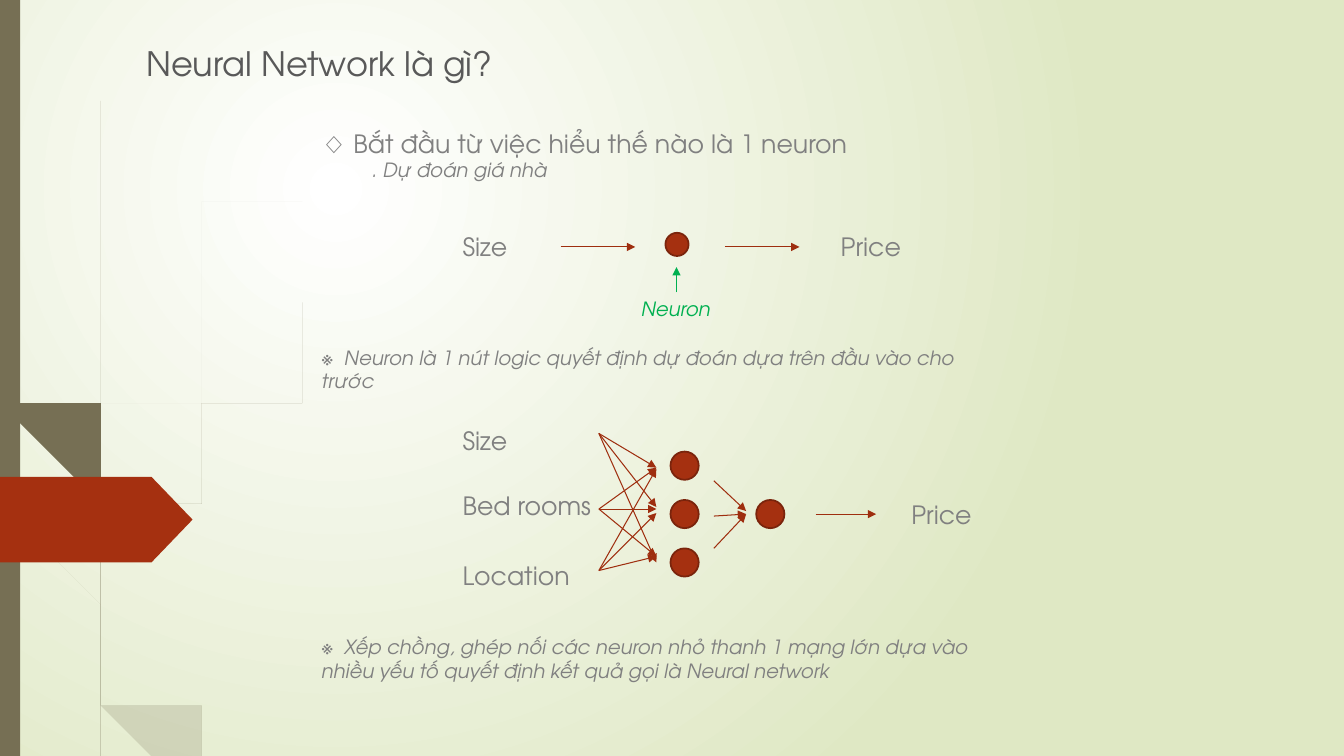
from math import hypot

from lxml.etree import SubElement
from pptx import Presentation
from pptx.dml.color import RGBColor
from pptx.enum.shapes import MSO_CONNECTOR, MSO_SHAPE
from pptx.enum.text import MSO_ANCHOR, PP_ALIGN
from pptx.oxml.ns import qn
from pptx.util import Inches, Pt

FONT = "TeX Gyre Adventor"
GREY, GREEN, RUST, OLIVE = "808080", "00B050", "A53010", "766F54"
RUST_EDGE, RUST_ARROW = "7A240C", "9E2E0F"

# Grass blades: points along the spine, then width at start and end
PALE_BLADES = [
    ([(0, 2.9), (0.1, 3.46), (0.16, 3.76), (0.6, 5.21), (0.85, 5.93),
      (1.25, 6.93), (1.53, 7.5)], 0.03, 0.05),
    ([(0.11, 3.5), (0.29, 4.7), (0.67, 6.2), (0.92, 6.88), (1.21, 7.5)], 0.01, 0.05),
    ([(3.12, 1.53), (2.68, 1.98), (2.28, 2.45), (1.59, 3.48), (1.08, 4.62),
      (0.86, 5.84), (0.89, 6.46), (1.03, 7.1), (1.17, 7.5)], 0, 0.05),
]
DARK_BLADES = [
    ([(0.04, 0), (0.05, 0.48), (0.08, 1.1), (0.18, 2.33), (0.34, 3.55),
      (0.58, 4.74), (0.9, 5.91), (1.08, 6.4), (1.34, 7.07), (1.55, 7.5)], 0.01, 0.05),
    ([(0.57, 4.77), (0.7, 5.56), (0.96, 6.58), (1.11, 7), (1.29, 7.5)], 0.01, 0.04),
    ([(0.7, 1.41), (0.62, 1.93), (0.57, 2.45), (0.53, 3.49), (0.56, 4.5),
      (0.61, 4.75)], 0, 0.03),
    ([(2.6, 3.44), (2.31, 3.74), (2.04, 4.06), (1.57, 4.75), (1.24, 5.52),
      (1.08, 6.32), (1.13, 6.9), (1.34, 7.5)], 0, 0.04),
]


def rgb(hex_code):
    return RGBColor.from_string(hex_code)


def paint(shape, fill, edge=None):
    shape.shadow.inherit = False
    shape.fill.solid()
    shape.fill.fore_color.rgb = rgb(fill)
    if edge:
        shape.line.color.rgb = rgb(edge)
        shape.line.width = Pt(1.25)
    else:
        shape.line.fill.background()


def write(paragraph, words, size, color, italic=False):
    run = paragraph.add_run()
    run.text = words
    run.font.name, run.font.size, run.font.italic = FONT, Pt(size), italic
    run.font.color.rgb = rgb(color)


def add_text(slide, box, words, size=18, color=GREY, italic=False):
    frame = slide.shapes.add_textbox(*map(Inches, box)).text_frame
    frame.word_wrap = True
    write(frame.paragraphs[0], words, size, color, italic)
    return frame


def add_arrow(slide, start, end, color=RUST_ARROW):
    arrow = slide.shapes.add_connector(
        MSO_CONNECTOR.STRAIGHT, *map(Inches, (*start, *end)))
    arrow.line.color.rgb = rgb(color)
    arrow.line.width = Pt(0.75)
    SubElement(arrow.line._get_or_add_ln(), qn("a:tailEnd"), type="triangle")
    SubElement(arrow._element.spPr, qn("a:effectLst"))


def add_neuron(slide, left, top, size):
    neuron = slide.shapes.add_shape(
        MSO_SHAPE.OVAL, *map(Inches, (left, top, size, size)))
    paint(neuron, RUST, RUST_EDGE)


def smooth(points, steps=8):
    """Catmull-Rom curve through the points."""
    ends = [points[0], *points, points[-1]]
    curve = []
    for p0, p1, p2, p3 in zip(ends, ends[1:], ends[2:], ends[3:]):
        for step in range(steps):
            t = step / steps
            curve.append(tuple(
                b + t * (c - a) / 2 + t**2 * (2*a - 5*b + 4*c - d) / 2
                + t**3 * (3*b - a - 3*c + d) / 2
                for a, b, c, d in zip(p0, p1, p2, p3)))
    return curve + [points[-1]]


def add_blade(slide, left, top, spine, start_width, end_width, alpha):
    curve = smooth(spine)
    last = len(curve) - 1
    right_edge, left_edge = [], []
    for i, (x, y) in enumerate(curve):
        (x0, y0), (x1, y1) = curve[max(i - 1, 0)], curve[min(i + 1, last)]
        half = (start_width + (end_width - start_width) * i / last) / 2
        length = hypot(x1 - x0, y1 - y0)
        dx, dy = half * (y1 - y0) / length, half * (x0 - x1) / length
        right_edge.append((left + x + dx, top + y + dy))
        left_edge.append((left + x - dx, top + y - dy))
    outline = right_edge + left_edge[::-1]
    builder = slide.shapes.build_freeform(*outline[0], scale=Inches(1))
    builder.add_line_segments(outline[1:], close=True)
    blade = builder.convert_to_shape()
    paint(blade, OLIVE)
    if alpha < 100:
        tone = blade._element.spPr.find(".//" + qn("a:srgbClr"))
        SubElement(tone, qn("a:alpha"), val=str(alpha * 1000))


def add_background(slide):
    fill = slide.background.fill
    fill.gradient()
    for stop, color in zip(fill.gradient_stops, ("FFFFFF", "DFE8C4")):
        stop.color.rgb = rgb(color)
    gradient = slide.element.find(".//" + qn("a:gradFill"))
    gradient.remove(gradient.find(qn("a:lin")))
    glow = SubElement(gradient, qn("a:path"), {"path": "circle"})
    SubElement(glow, qn("a:fillToRect"), l="50000", t="50000", r="100000", b="100000")


def add_decoration(slide, left, top, height):
    for blades, alpha in ((PALE_BLADES, 20), (DARK_BLADES, 100)):
        for blade in blades:
            add_blade(slide, left, top, *blade, alpha)
    side_bar = slide.shapes.add_shape(
        MSO_SHAPE.RECTANGLE, *map(Inches, (left, top, 0.2, height)))
    paint(side_bar, OLIVE)
    page_tag = slide.shapes.add_shape(
        MSO_SHAPE.PENTAGON, *map(Inches, (left, top + 4.73, 1.91, 0.85)))
    page_tag.adjustments[0] = 0.48
    paint(page_tag, RUST)


def add_title(slide, box):
    title = slide.shapes.title
    title.left, title.top, title.width, title.height = map(Inches, box)
    title.text_frame.vertical_anchor = MSO_ANCHOR.TOP
    heading = title.text_frame.paragraphs[0]
    heading.alignment = PP_ALIGN.LEFT
    write(heading, "Neural Network là gì?", 24, "595959")


def add_intro(slide, box):
    intro = add_text(slide, box, "◇ Bắt đầu từ việc hiểu thế nào là 1 neuron")
    example = intro.add_paragraph()
    example._p.get_or_add_pPr().set("marL", str(Inches(0.5)))
    write(example, ". Dự đoán giá nhà", 14, GREY, italic=True)


def add_single_neuron(slide, left, top):
    for x, label in ((0, "Size"), (3.75, "Price")):
        add_text(slide, (left + x, top, 1.24, 0.4), label)
    for x in (1.07, 2.7):
        add_arrow(slide, (left + x, top + 0.2), (left + x + 0.74, top + 0.2))
    add_neuron(slide, left + 2.11, top + 0.06, 0.23)
    add_arrow(slide, (left + 2.22, top + 0.65), (left + 2.22, top + 0.4), GREEN)
    add_text(slide, (left + 1.77, top + 0.65, 1.31, 0.34), "Neuron", 14, GREEN, True)


def add_network(slide, left, top):
    # Inputs: label, label top, arrow start, arrow end at each hidden neuron
    inputs = [("Size", 0, 0.13, (0.47, 0.86, 1.41)),
              ("Bed rooms", 0.65, 0.88, (0.47, 0.88, 1.35)),
              ("Location", 1.34, 1.49, (0.48, 0.92, 1.35))]
    for label, label_top, start, ends in inputs:
        add_text(slide, (left, top + label_top, 1.6, 0.4), label)
        for end in ends:
            add_arrow(slide, (left + 1.45, top + start), (left + 2.02, top + end))

    # Hidden layer, each neuron feeding the output
    for row, (start, end) in enumerate(((0.6, 0.9), (0.95, 0.93), (1.27, 0.93))):
        add_neuron(slide, left + 2.16, top + 0.31 + 0.48 * row, 0.28)
        add_arrow(slide, (left + 2.59, top + start), (left + 2.91, top + end))

    # Output
    add_neuron(slide, left + 3.01, top + 0.79, 0.28)
    add_arrow(slide, (left + 3.6, top + 0.93), (left + 4.2, top + 0.93))
    add_text(slide, (left + 4.45, top + 0.73, 1, 0.4), "Price")


def add_note(slide, box, words):
    add_text(slide, box, "※  " + words, 14, GREY, italic=True)


deck = Presentation()
deck.slide_width, deck.slide_height = Inches(13.33), Inches(7.5)
slide = deck.slides.add_slide(deck.slide_layouts[5])

add_background(slide)
add_decoration(slide, 0, 0, 7.5)
add_title(slide, (1.35, 0.38, 9.75, 0.58))
add_intro(slide, (3.09, 1.22, 9.95, 0.64))
add_single_neuron(slide, 4.49, 2.25)
add_note(slide, (3.09, 3.38, 6.99, 0.57),
         "Neuron là 1 nút logic quyết định dự đoán dựa trên đầu vào cho trước")
add_network(slide, 4.49, 4.17)
add_note(slide, (3.09, 6.25, 6.86, 0.57),
         "Xếp chồng, ghép nối các neuron nhỏ thanh 1 mạng lớn dựa vào "
         "nhiều yếu tố quyết định kết quả gọi là Neural network")

deck.save("out.pptx")
